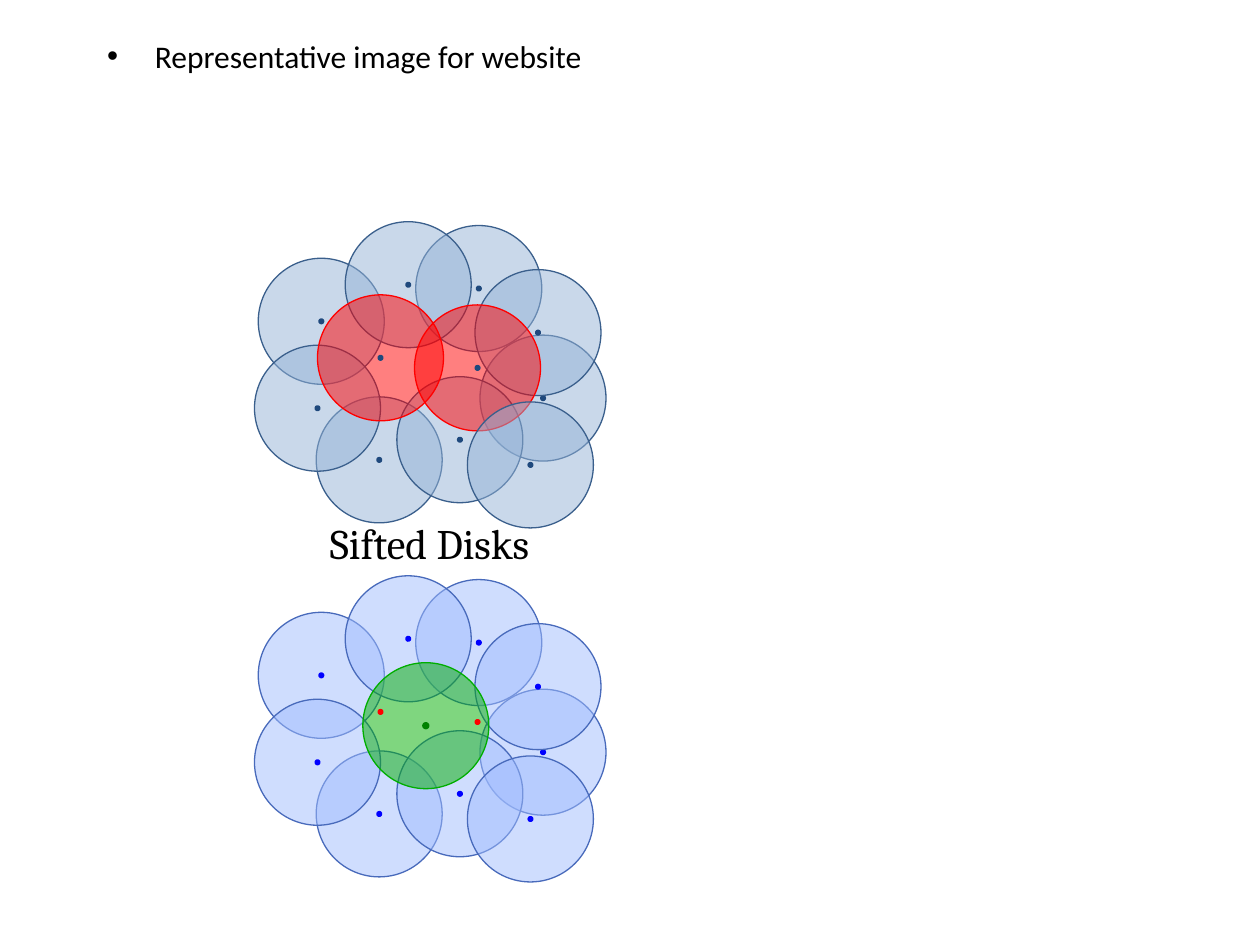
"""Build a slide that shows disks before and after sifting."""
import pptx
import pptx.dml.color
import pptx.enum.shapes
import pptx.enum.text
import pptx.oxml.ns
import pptx.util
from lxml import etree

Inches = pptx.util.Inches
Pt = pptx.util.Pt
KIND = pptx.enum.shapes.MSO_SHAPE
SIZE = 1
DROP = 2.81
RING = [(2.51, 3.15), (3.3, 1.79), (2.05, 2.05), (2.02, 2.74),
        (3.81, 2.66), (3.77, 2.14), (2.74, 1.76), (3.15, 2.99)]
PAIR = [(2.52, 2.34), (3.29, 2.42)]
LAST = (3.71, 3.19)
MERGED = (2.88, 5.26)


def paint(color, code):
    """Set a colour format from a hex string."""
    color.rgb = pptx.dml.color.RGBColor.from_string(code)


def add_round(slide, kind, spot, size, fill, edge, width):
    """Add a filled round shape and return it."""
    shape = slide.shapes.add_shape(
        kind, Inches(spot[0]), Inches(spot[1]), Inches(size), Inches(size))
    shape.shadow.inherit = False
    shape.fill.solid()
    paint(shape.fill.fore_color, fill)
    paint(shape.line.color, edge)
    shape.line.width = Pt(width)
    return shape


def add_disk(slide, spot, fill, edge):
    """Add a half clear disk with a hairline edge."""
    disk = add_round(slide, KIND.FLOWCHART_CONNECTOR, spot, SIZE, fill, edge, 0)
    name = pptx.oxml.ns.qn("a:srgbClr")
    tint = disk.fill._xPr.find(pptx.oxml.ns.qn("a:solidFill")).find(name)
    etree.SubElement(tint, pptx.oxml.ns.qn("a:alpha"), val="50000")


def add_dot(slide, spot, code, size=0.02):
    """Add a dot at the centre of the disk at a spot."""
    inset = (SIZE - size) / 2
    place = (spot[0] + inset, spot[1] + inset)
    add_round(slide, KIND.OVAL, place, size, code, code, 2)


def add_cell(slide, spot, fill, edge, dot, size=0.02):
    """Add a disk with its centre dot."""
    add_disk(slide, spot, fill, edge)
    add_dot(slide, spot, dot, size)


def lower(spot):
    """Shift a spot from the top group to the bottom group."""
    return spot[0], spot[1] + DROP


def style(para, font, size):
    """Set the font of a paragraph."""
    para.font.name = font
    para.font.size = Pt(size)
    paint(para.font.color, "000000")


def add_list(slide, text):
    """Fill the body placeholder with one bullet."""
    body = slide.placeholders[1]
    body.left, body.top = Inches(0.75), Inches(0.24)
    body.width, body.height = Inches(8.5), Inches(0.51)
    para = body.text_frame.paragraphs[0]
    para.text = text
    para.space_before = Pt(0)
    props = para._p.get_or_add_pPr()
    props.set("marL", str(Inches(0.38)))
    props.set("indent", str(-Inches(0.38)))
    etree.SubElement(props, pptx.oxml.ns.qn("a:buChar"), char="•")
    style(para, "Calibri", 18)


def add_label(slide, text):
    """Add the label between the two groups."""
    box = slide.shapes.add_textbox(
        Inches(2.52), Inches(4.06), Inches(1.86), Inches(0.5))
    frame = box.text_frame
    frame.word_wrap = False
    frame.auto_size = pptx.enum.text.MSO_AUTO_SIZE.SHAPE_TO_FIT_TEXT
    para = frame.paragraphs[0]
    para.text = text
    style(para, "Cambria", 24)


def add_top(slide):
    """Draw the disks before sifting."""
    blue = ("95B3D7", "3A5F8C", "1F497D")
    for spot in RING:
        add_cell(slide, spot, *blue)
    for spot in PAIR:
        add_cell(slide, spot, "FF0000", "FF0000", "1F497D")
    add_cell(slide, LAST, *blue)


def add_bottom(slide):
    """Draw the disks after sifting."""
    blue = ("A0BCFE", "486ABB", "0000FF")
    for spot in RING:
        add_cell(slide, lower(spot), *blue)
    add_cell(slide, MERGED, "00AE00", "00AE00", "008200", 0.03)
    for spot in PAIR:
        add_dot(slide, lower(spot), "FF0000")
    add_cell(slide, lower(LAST), *blue)


def main():
    """Build and save the deck."""
    deck = pptx.Presentation()
    deck.slide_width, deck.slide_height = Inches(10), Inches(7.5)
    slide = deck.slides.add_slide(deck.slide_layouts[1])
    title = slide.shapes.title.element
    title.getparent().remove(title)
    add_list(slide, "Representative image for website")
    add_top(slide)
    add_bottom(slide)
    add_label(slide, "Sifted Disks")
    deck.save("out.pptx")


if __name__ == "__main__":
    main()
